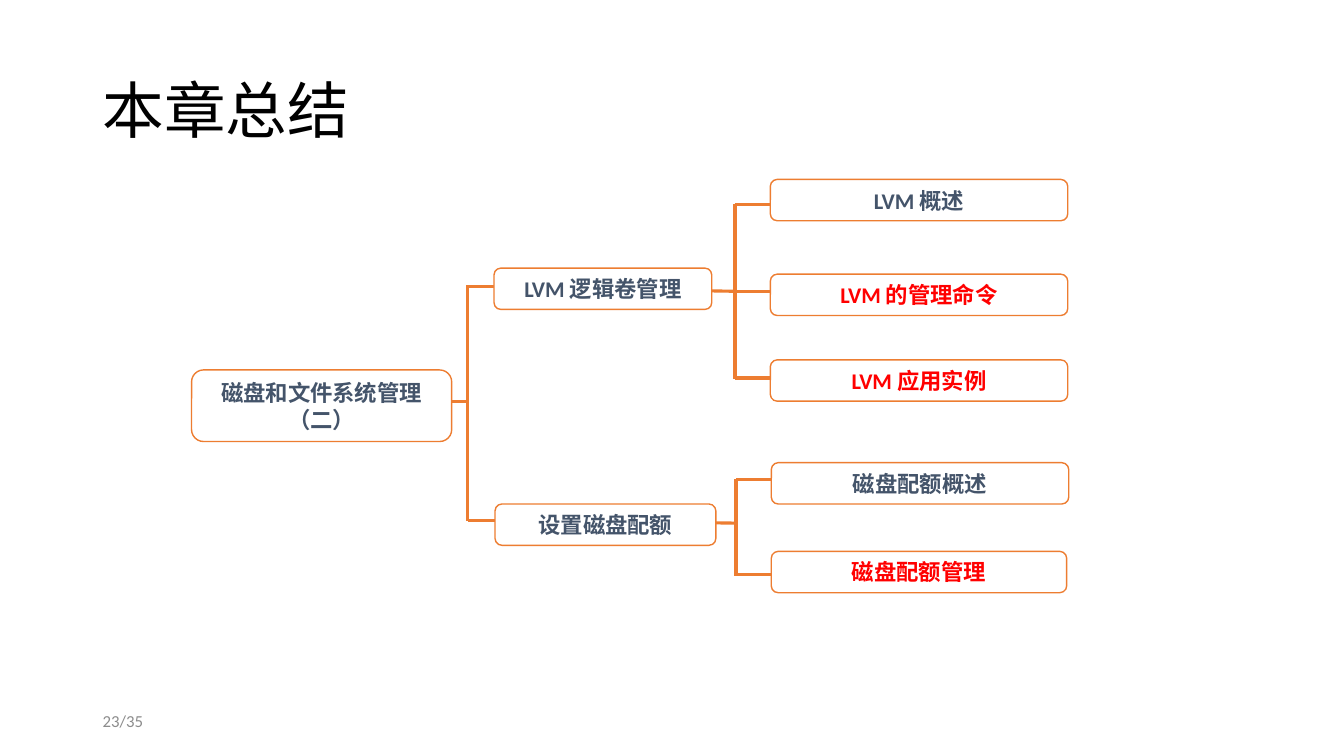
from lxml import etree
from pptx import Presentation
from pptx import util as u
from pptx.dml.color import RGBColor
from pptx.enum import shapes, text
from pptx.oxml import ns

COLORS = {"branch": "ED7D31", "box": "FFFFFF", "topic": "44546A",
          "key": "FF0000", "title": "000000", "page": "8C8C8C"}

TITLE = ("本章总结", (0.92, 0.4, 11.5, 1.45), 44, "title")
PAGE = ("23/35", (0.92, 6.95, 3, 0.4), 12, "page")

# Text, (left, top, width, height), text colour
TOPICS = [
    ("磁盘和文件系统管理（二）", (1.9, 3.67, 2.58, 0.71), "topic"),
    ("LVM 逻辑卷管理", (4.9, 2.66, 2.16, 0.41), "topic"),
    ("设置磁盘配额", (4.91, 5, 2.19, 0.41), "topic"),
    ("LVM 概述", (7.64, 1.78, 2.95, 0.41), "topic"),
    ("LVM 的管理命令", (7.64, 2.72, 2.95, 0.41), "key"),
    ("LVM 应用实例", (7.64, 3.57, 2.95, 0.41), "key"),
    ("磁盘配额概述", (7.65, 4.59, 2.95, 0.41), "topic"),
    ("磁盘配额管理", (7.65, 5.47, 2.93, 0.41), "key"),
]

# Each bracket: trunk x, stem start (x, y), stem end y, twig end x, twig heights
BRACKETS = [
    (4.64, (4.16, 3.98), 3.98, 4.95, (2.84, 5.16)),
    (7.29, (4.95, 2.85), 2.89, 7.69, (2.03, 2.89, 3.75)),
    (7.3, (4.95, 5.16), 5.19, 7.69, (4.76, 5.7)),
]
HALF_LINE = 0.01


def color(name):
    return RGBColor.from_string(COLORS[name])


def write(shape, words, size, color_name, bold=False, align=None):
    frame = shape.text_frame
    frame.word_wrap = True
    frame.vertical_anchor = text.MSO_ANCHOR.MIDDLE
    paragraph = frame.paragraphs[0]
    paragraph.alignment = align
    run = paragraph.add_run()
    run.text = words
    font_format = {"name": "Calibri", "size": u.Pt(size), "bold": bold}
    for attribute, value in font_format.items():
        setattr(run.font, attribute, value)
    run.font.color.rgb = color(color_name)
    return paragraph


def add_label(slide, words, place, size, color_name):
    box = slide.shapes.add_textbox(*map(u.Inches, place))
    return write(box, words, size, color_name)


def add_branch(slide, start, end):
    line = slide.shapes.add_connector(
        shapes.MSO_CONNECTOR.STRAIGHT, *map(u.Inches, (*start, *end)))
    line.line.color.rgb = color("branch")
    line.line.width = u.Pt(2.25)
    etree.SubElement(line._element.spPr, ns.qn("a:effectLst"))


def add_bracket(slide, trunk, stem, stem_end, twig_end, heights):
    """Draw a stem to the trunk, the trunk, and one twig per height."""
    add_branch(slide, stem, (trunk, stem_end))
    add_branch(slide, (trunk, heights[0] - HALF_LINE),
               (trunk, heights[-1] + HALF_LINE))
    for height in heights:
        add_branch(slide, (trunk, height), (twig_end, height))


def add_topic(slide, words, place, color_name):
    box = slide.shapes.add_shape(
        shapes.MSO_SHAPE.ROUNDED_RECTANGLE, *map(u.Inches, place))
    box.shadow.inherit = False
    box.fill.solid()
    box.fill.fore_color.rgb = color("box")
    box.line.color.rgb = color("branch")
    box.line.width = u.Pt(1)
    write(box, words, 16, color_name, True, text.PP_ALIGN.CENTER)


def main():
    presentation = Presentation()
    presentation.slide_width = u.Inches(13.33)
    presentation.slide_height = u.Inches(7.5)
    slide = presentation.slides.add_slide(presentation.slide_layouts[6])
    add_label(slide, *TITLE).line_spacing = 0.9
    for bracket in BRACKETS:
        add_bracket(slide, *bracket)
    for topic in TOPICS:
        add_topic(slide, *topic)
    add_label(slide, *PAGE)
    presentation.save("out.pptx")


if __name__ == "__main__":
    main()
